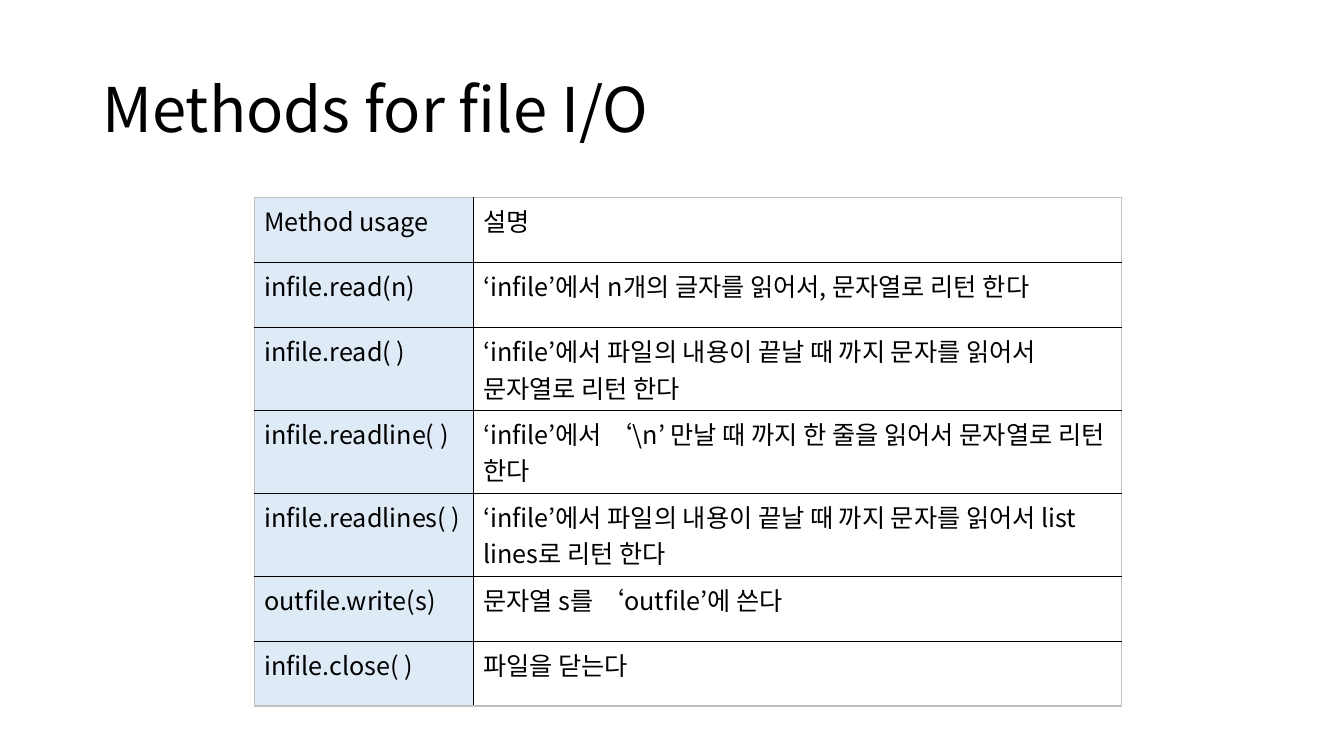
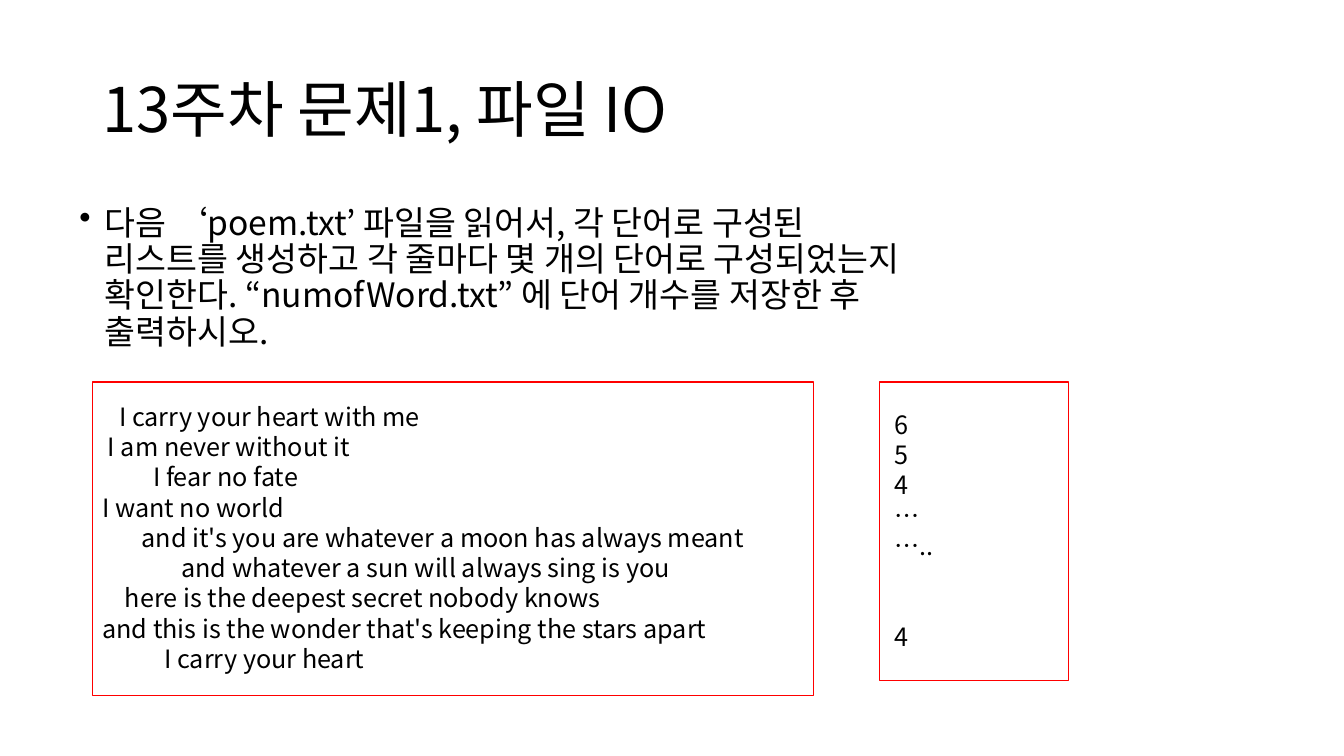
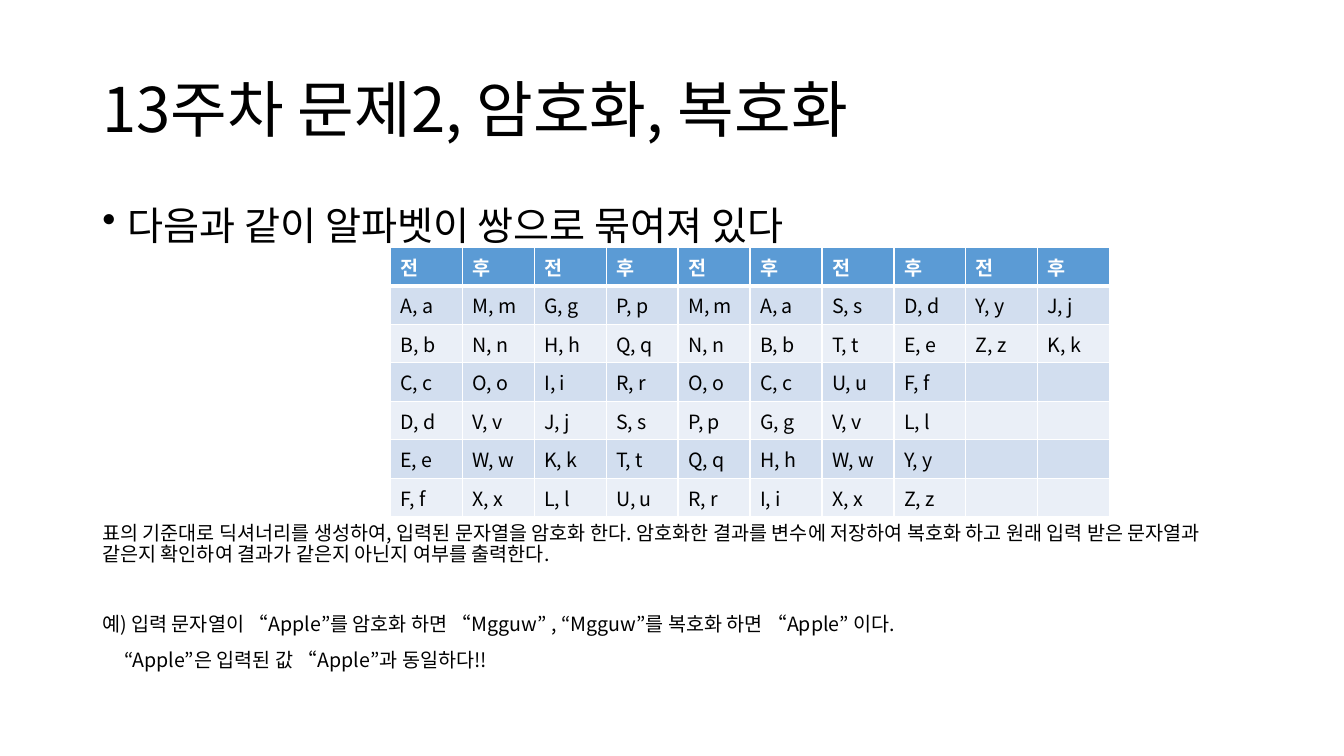
from lxml import etree
from pptx import Presentation
from pptx.dml.color import RGBColor
from pptx.enum import shapes, text
from pptx.oxml import ns
from pptx.util import Pt

FONT = "Noto Sans CJK KR"
COLORS = {
    "ink": "000000", "paper": "FFFFFF", "frame": "FF0000", "outline": "C0C0C0",
    "method": "DEEBF7", "header": "5B9BD5", "odd": "D2DEEF", "even": "EAEFF7",
}
LEADING = 1.2        # line pitch as a multiple of the text size
TIGHT = 1.08         # the same for body text
TITLE_LEADING = 1.02
SPACE_WIDTH = 0.224  # width of one space as a multiple of the text size

METHODS = [
    ("Method usage", "설명"),
    ("infile.read(n)", "‘infile’에서 n개의 글자를 읽어서, 문자열로 리턴 한다"),
    ("infile.read( )", "‘infile’에서 파일의 내용이 끝날 때 까지 문자를 읽어서 문자열로 리턴 한다"),
    ("infile.readline( )", "‘infile’에서 ‘\\n’ 만날 때 까지 한 줄을 읽어서 문자열로 리턴 한다"),
    ("infile.readlines( )", "‘infile’에서 파일의 내용이 끝날 때 까지 문자를 읽어서 list lines로 리턴 한다"),
    ("outfile.write(s)", "문자열 s를 ‘outfile’에 쓴다"),
    ("infile.close( )", "파일을 닫는다"),
]
ONE_LINE, TWO_LINES = 46.4, 59.3
METHOD_HEIGHTS = [ONE_LINE] * 2 + [TWO_LINES] * 3 + [ONE_LINE] * 2

# Each verse comes with its indent, counted in spaces
POEM = [
    (3, "I carry your heart with me"),
    (1, "I am never without it"),
    (9, "I fear no fate"),
    (0, "I want no world"),
    (7, "and it's you are whatever a moon has always meant"),
    (14, "and whatever a sun will always sing is you"),
    (4, "here is the deepest secret nobody knows"),
    (0, "and this is the wonder that's keeping the stars apart"),
    (11, "I carry your heart"),
]

# Cipher pairs read down each pair of columns, six to a column
PLAIN = "ABCDEFGHIJKLMNOPQRSTUVWXYZ"
CODED = "MNOVWXPQRSTUABCGHIDEFLYZJK"
PAIRS_PER_COLUMN = 6


def rgb(name):
    return RGBColor.from_string(COLORS[name])


def style(para, size, color="ink", bold=False):
    """Set one font for the whole paragraph."""
    font = para.font
    font.size, font.bold, font.name = Pt(size), bold, FONT
    font.color.rgb = rgb(color)
    if not para.text:
        etree.SubElement(para._p, ns.qn("a:endParaRPr"), sz=str(size * 100))


def add_text(page, left, top, width, height, lines, size, leading=LEADING,
             anchor=text.MSO_ANCHOR.TOP):
    """Add a text box; each line is (words, indent in spaces, space before)."""
    box = page.shapes.add_textbox(Pt(left), Pt(top), Pt(width), Pt(height))
    frame = box.text_frame
    frame.word_wrap = True
    frame.vertical_anchor = anchor
    for index, (words, spaces, before) in enumerate(lines):
        para = frame.add_paragraph() if index else frame.paragraphs[0]
        para.text = words
        para.line_spacing = Pt(size * leading)
        para.space_before = Pt(before)
        style(para, size)
        if spaces:
            para._p.get_or_add_pPr().set("marL", str(Pt(spaces * SPACE_WIDTH * size)))
    return box


def add_title(page, words):
    add_text(page, 66, 28.8, 828, 104.4, [(words, 0, 0)], 44, TITLE_LEADING,
             text.MSO_ANCHOR.MIDDLE)


def add_bullet(page, left, width, height, words, size):
    box = add_text(page, left, 143.5, width, height, [(words, 0, 0)], size, TIGHT)
    props = box.text_frame.paragraphs[0]._p.get_or_add_pPr()
    props.set("marL", str(Pt(18)))
    props.set("indent", str(Pt(-18)))
    bullet = etree.Element(ns.qn("a:buChar"), char="•")
    props.find(ns.qn("a:defRPr")).addprevious(bullet)


def add_frame(page, left, top, width, height):
    box = page.shapes.add_shape(shapes.MSO_SHAPE.RECTANGLE,
                                Pt(left), Pt(top), Pt(width), Pt(height))
    box.shadow.inherit = False
    box.fill.background()
    box.line.color.rgb = rgb("frame")
    box.line.width = Pt(1)


def set_borders(cell, edges):
    """Draw the cell's edges; edges maps L, R, T, B to (colour, width)."""
    props = cell._tc.get_or_add_tcPr()
    for side in "LRTB":
        color, width = edges[side]
        line = etree.SubElement(props, ns.qn("a:ln" + side), w=str(Pt(width)))
        fill = etree.SubElement(line, ns.qn("a:solidFill"))
        etree.SubElement(fill, ns.qn("a:srgbClr"), val=COLORS[color])


def add_grid(page, left, top, widths, heights, rows, size, look):
    """Add a table; look(row, column) gives fill, text colour, bold, edges."""
    table = page.shapes.add_table(len(rows), len(widths), Pt(left), Pt(top),
                                  Pt(sum(widths)), Pt(sum(heights))).table
    table.first_row = table.horz_banding = False
    for column, width in zip(table.columns, widths):
        column.width = Pt(width)
    for r, row in enumerate(rows):
        table.rows[r].height = Pt(heights[r])
        for c, words in enumerate(row):
            cell = table.cell(r, c)
            fill, color, bold, edges = look(r, c)
            cell.text = words
            style(cell.text_frame.paragraphs[0], size, color, bold)
            set_borders(cell, edges)
            cell.fill.solid()
            cell.fill.fore_color.rgb = rgb(fill)


def method_look(r, c):
    inner, outer = ("ink", 1), ("outline", 1)
    edges = {
        "L": inner if c else outer, "R": outer if c else inner,
        "T": inner if r else outer,
        "B": inner if r < len(METHODS) - 1 else outer,
    }
    return "paper" if c else "method", "ink", False, edges


def cipher_look(r, c):
    edges = dict.fromkeys("LRTB", ("paper", 1))
    if r == 0:
        edges["B"] = ("paper", 3)
        return "header", "paper", True, edges
    if r == 1:
        edges["T"] = ("paper", 3)
    return "odd" if r % 2 else "even", "ink", False, edges


def cipher_rows():
    groups = -(-len(PLAIN) // PAIRS_PER_COLUMN)
    rows = [["전", "후"] * groups]
    for r in range(PAIRS_PER_COLUMN):
        row = []
        for start in range(r, groups * PAIRS_PER_COLUMN, PAIRS_PER_COLUMN):
            for letters in (PLAIN, CODED):
                letter = letters[start:start + 1]
                row.append(f"{letter}, {letter.lower()}" if letter else "")
        rows.append(row)
    return rows


def build_methods(page):
    add_title(page, "Methods for file I/O")
    add_grid(page, 181.6, 141, [156.5, 463], METHOD_HEIGHTS, METHODS, 18, method_look)


def build_poem(page):
    add_title(page, "13주차 문제1, 파일 IO")
    add_bullet(page, 49.7, 620.6, 342.7,
               "다음 ‘poem.txt’ 파일을 읽어서, 각 단어로 구성된 리스트를 생성하고 "
               "각 줄마다 몇 개의 단어로 구성되었는지 확인한다. “numofWord.txt” 에 "
               "단어 개수를 저장한 후 출력하시오.", 24)
    # Poem and its word counts
    add_frame(page, 66, 273, 515, 224)
    add_text(page, 66, 283, 515, 203.8,
             [(verse, spaces, 0) for spaces, verse in POEM], 18)
    add_frame(page, 628.4, 273, 135, 213)
    counts = [(count, 0, 0) for count in ("6", "5", "4", "…", "…..")]
    counts.append(("4", 0, 2 * 18 * LEADING))
    add_text(page, 632, 288.7, 86.4, 181.4, counts, 18)


def build_cipher(page):
    add_title(page, "13주차 문제2, 암호화, 복호화")
    add_bullet(page, 66, 828, 38, "다음과 같이 알파벳이 쌍으로 묶여져 있다", 28)
    rows = cipher_rows()
    add_grid(page, 278.8, 176.5, [51.4] * 10, [27.55] * len(rows), rows, 14, cipher_look)
    # Task and example
    add_text(page, 66, 370.3, 828, 116, [
        ("표의 기준대로 딕셔너리를 생성하여, 입력된 문자열을 암호화 한다. "
         "암호화한 결과를 변수에 저장하여 복호화 하고 원래 입력 받은 문자열과 "
         "같은지 확인하여 결과가 같은지 아닌지 여부를 출력한다.", 0, 0),
        ("예) 입력 문자열이 “Apple”를 암호화 하면 “Mgguw” , “Mgguw”를 "
         "복호화 하면 “Apple” 이다.", 0, 35),
        ("“Apple”은 입력된 값 “Apple”과 동일하다!!", 5, 10),
    ], 14, TIGHT)


def main():
    deck = Presentation()
    deck.slide_width, deck.slide_height = Pt(960), Pt(540)
    for build in (build_methods, build_poem, build_cipher):
        build(deck.slides.add_slide(deck.slide_layouts[6]))
    deck.save("out.pptx")


if __name__ == "__main__":
    main()
